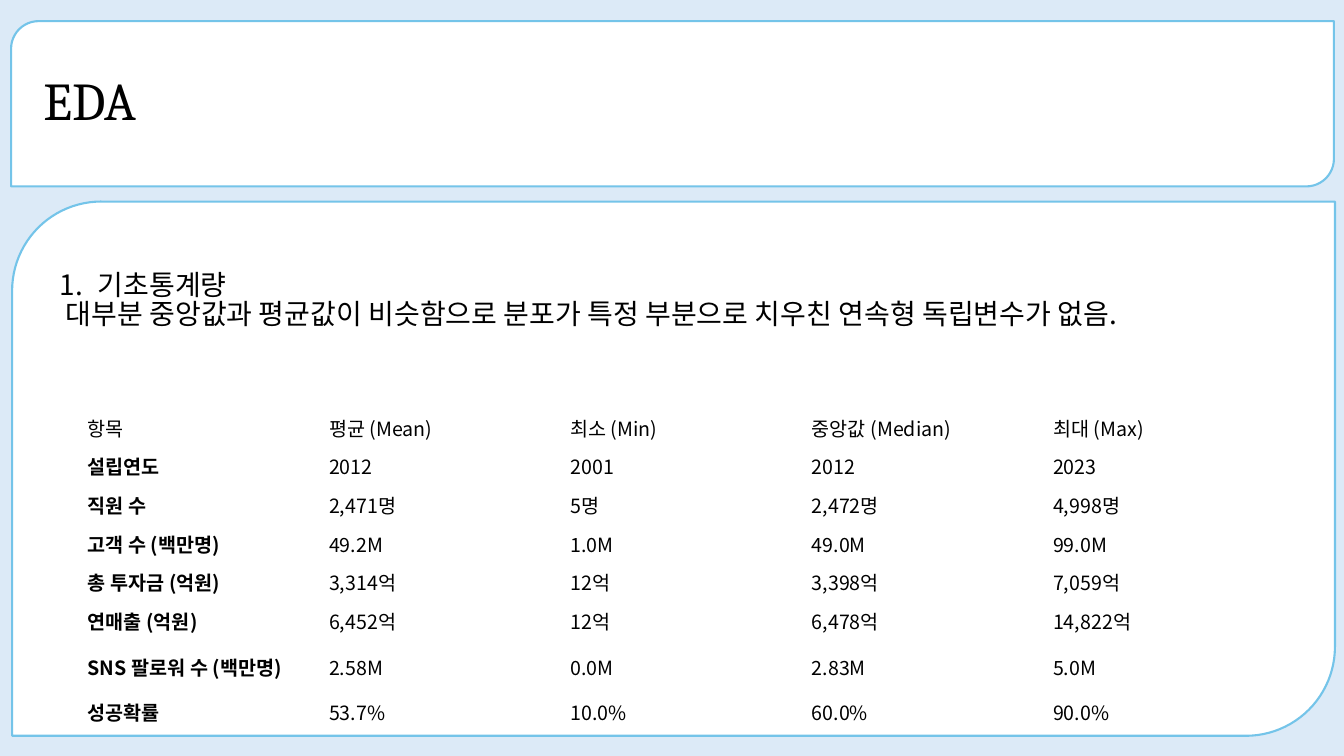
from lxml import etree
from pptx import Presentation
from pptx.dml.color import RGBColor
from pptx.enum.shapes import MSO_SHAPE
from pptx.enum.text import MSO_ANCHOR, MSO_AUTO_SIZE
from pptx.oxml.ns import qn
from pptx.util import Inches, Pt

PANEL_SHAPE = MSO_SHAPE.ROUND_2_DIAG_RECTANGLE
MIDDLE, TOP = MSO_ANCHOR.MIDDLE, MSO_ANCHOR.TOP
NO_AUTOFIT = MSO_AUTO_SIZE.NONE

PALE_BLUE = RGBColor(0xDC, 0xEA, 0xF7)
SKY_BLUE = RGBColor(0x74, 0xC4, 0xE9)
WHITE = RGBColor(0xFF, 0xFF, 0xFF)
BLACK = RGBColor(0, 0, 0)
TITLE_FONT = "Cambria"
BODY_FONT = "Noto Sans CJK KR"


def add_run(paragraph, text, size, font_name, bold=False):
    run = paragraph.add_run()
    run.text = text
    run.font.size = Pt(size)
    run.font.name = font_name
    run.font.bold = bold
    run.font.color.rgb = BLACK
    east_asian = etree.SubElement(run.font._element, qn("a:ea"))
    east_asian.set("typeface", font_name)


def place(shape, left, top, width, height):
    shape.left, shape.top = Inches(left), Inches(top)
    shape.width, shape.height = Inches(width), Inches(height)


prs = Presentation()
prs.slide_width, prs.slide_height = Inches(13.33), Inches(7.5)
slide = prs.slides.add_slide(prs.slide_layouts[1])
slide.background.fill.solid()
slide.background.fill.fore_color.rgb = PALE_BLUE
title, summary = slide.placeholders

# White panels behind the title and the content
for left, top, height in [(0.11, 0.21, 1.64), (0.12, 2, 5.3)]:
    panel = slide.shapes.add_shape(PANEL_SHAPE, Inches(left), Inches(top),
                                   Inches(13.12), Inches(height))
    panel.shadow.inherit = False
    panel.fill.solid()
    panel.fill.fore_color.rgb = WHITE
    panel.line.color.rgb = SKY_BLUE
    panel.line.width = Pt(1.5)

# Bring the placeholders in front of the panels
for placeholder in (title, summary):
    slide.shapes._spTree.append(placeholder._element)

# Title
place(title, 0.33, 0.3, 11.5, 1.45)
title.text_frame.vertical_anchor = MIDDLE
title.text_frame.auto_size = NO_AUTOFIT
heading = title.text_frame.paragraphs[0]
heading.line_spacing = 0.9
heading_props = heading._p.get_or_add_pPr()
heading_props.set("algn", "l")
add_run(heading, "EDA", 38, TITLE_FONT)

# Numbered heading and its finding
place(summary, 0.49, 2.65, 12.32, 0.77)
summary_frame = summary.text_frame
summary_frame.word_wrap = True
summary_frame.vertical_anchor = TOP
summary_frame.auto_size = NO_AUTOFIT
numbered = summary_frame.paragraphs[0]
finding = summary_frame.add_paragraph()
for paragraph, text, indent in [
    (numbered, "기초통계량", Inches(0.38)),
    (finding, " 대부분 중앙값과 평균값이 비슷함으로 분포가 특정 부분으로 "
              "치우친 연속형 독립변수가 없음.", 0),
]:
    paragraph.space_before = Pt(0)
    paragraph.line_spacing = 0.87
    props = paragraph._p.get_or_add_pPr()
    props.set("marL", str(indent))
    props.set("indent", str(-indent))
    if indent:
        bullet_font = etree.SubElement(props, qn("a:buFont"))
        bullet_font.set("typeface", BODY_FONT)
        bullet = etree.SubElement(props, qn("a:buAutoNum"))
        bullet.set("type", "arabicPeriod")
    else:
        etree.SubElement(props, qn("a:buNone"))
    add_run(paragraph, text, 20, BODY_FONT)

# Table of basic statistics
STATISTICS = [
    ("항목", "평균 (Mean)", "최소 (Min)", "중앙값 (Median)", "최대 (Max)"),
    ("설립연도", "2012", "2001", "2012", "2023"),
    ("직원 수", "2,471명", "5명", "2,472명", "4,998명"),
    ("고객 수 (백만명)", "49.2M", "1.0M", "49.0M", "99.0M"),
    ("총 투자금 (억원)", "3,314억", "12억", "3,398억", "7,059억"),
    ("연매출 (억원)", "6,452억", "12억", "6,478억", "14,822억"),
    ("SNS 팔로워 수 (백만명)", "2.58M", "0.0M", "2.83M", "5.0M"),
    ("성공확률", "53.7%", "10.0%", "60.0%", "90.0%"),
]
FOLLOWER_ROW = 6
statistics = slide.shapes.add_table(
    len(STATISTICS), len(STATISTICS[0]), Inches(0.77), Inches(4.05),
    Inches(11.97), Inches(2.62)).table
statistics.first_row = False
statistics.horz_banding = False
# Plain style without borders
statistics._tbl.tblPr.find(qn("a:tableStyleId")).text = (
    "{2D5ABB26-0587-4C30-8999-92F81FD0307C}")
for row_number, values in enumerate(STATISTICS):
    row_height = 0.52 if row_number == FOLLOWER_ROW else 0.3
    statistics.rows[row_number].height = Inches(row_height)
    for column_number, value in enumerate(values):
        cell = statistics.cell(row_number, column_number)
        cell.fill.background()
        cell.vertical_anchor = MIDDLE
        is_label = row_number > 0 and column_number == 0
        add_run(cell.text_frame.paragraphs[0], value, 14, BODY_FONT, is_label)

prs.save("out.pptx")
